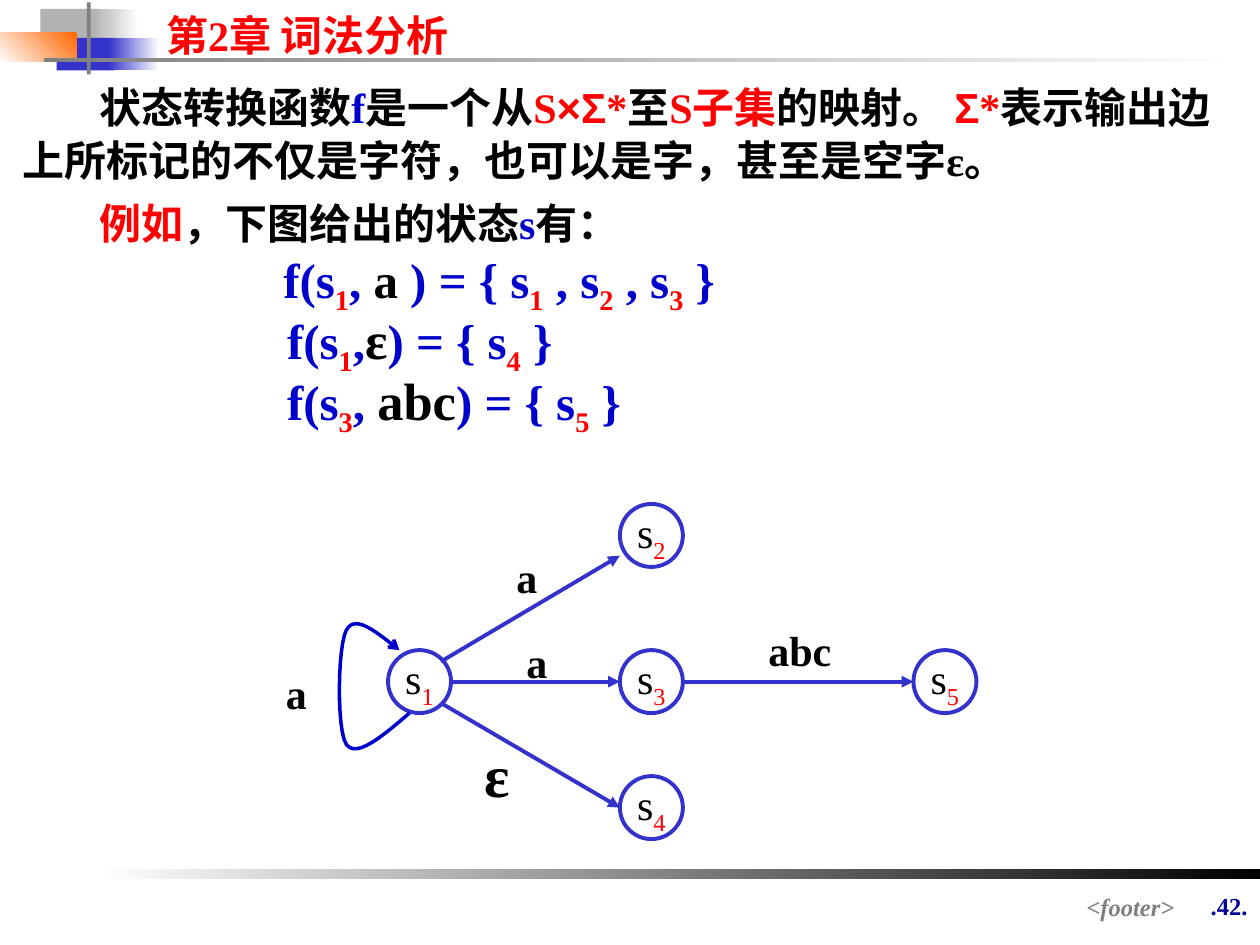
"""Build a lexical analysis slide with a state transition graph."""
from lxml.etree import SubElement
from pptx import Presentation
from pptx.dml.color import RGBColor
from pptx.enum.shapes import MSO_CONNECTOR, MSO_SHAPE
from pptx.enum.text import MSO_ANCHOR, PP_ALIGN
from pptx.oxml.ns import qn
from pptx.util import Inches, Pt

HUES = {"black": "000000", "white": "FFFFFF", "red": "FF0000", "blue": "0000CC",
        "navy": "000099", "edge": "3333CC", "gray": "808080", "pale": "B2B2B2",
        "orange": "FF6600"}
SERIF = "Times New Roman"
RADIUS = 0.25

BARS = [
    ((0.32, 0.07, 0.48, 0.26), ["pale"], 0),
    ((0.74, 0.07, 0.36, 0.26), ["white", "pale"], 180),
    ((0.45, 0.3, 0.46, 0.26), ["edge"], 0),
    ((0.86, 0.3, 0.4, 0.26), ["white", "edge"], 180),
    ((0, 0.26, 0.61, 0.23), ["orange", "white"], 135),
    ((0.69, 0.02, 0.03, 0.57), ["gray"], 0),
    ((0.35, 0.46, 9.51, 0.03), ["white", "gray"], 180),
    ((0.75, 6.9, 9.25, 0.08), ["black", "white"], 180),
]
ARIAL = {"name": "Arial"}
BIG = {"size": Pt(30)}
PROSE = [
    [("状态转换函数", "black"), ("f", "blue"), ("是一个从", "black"), ("S", "red"),
     ("×Σ", "red", ARIAL), ("*", "red"), ("至", "black"), ("S子集", "red"),
     ("的映射。 ", "black"), ("Σ", "red", ARIAL), ("*", "red"),
     ("表示输出边上所标记的不仅是字符，也可以是字，甚至是空字ε。", "black")],
    [("例如", "red"), ("，下图给出的状态", "black"), ("s", "blue"), ("有：", "black")],
]
RULES = [
    (2.07, "1", ", ", ("a ", "black"), ") = { s", ["1", "2", "3"]),
    (2.1, "1", ",", ("ε", "black", BIG), ") = { s", ["4"]),
    (2.1, "3", ", ", ("abc", "black", BIG), ") = { s", ["5"]),
]
STATES = {"1": (3.33, 5.41), "2": (5.17, 4.25), "3": (5.17, 5.41),
          "4": (5.17, 6.41), "5": (7.5, 5.41)}
EDGES = [((3.5, 5.25), (4.92, 4.41)), ((3.5, 5.58), (4.92, 6.41)),
         ((3.58, 5.41), (4.92, 5.41)), ((5.42, 5.41), (7.25, 5.41))]
LABELS = [("a", (4, 4.33, 0.92, 0.5), 24), ("a", (4.08, 5, 0.92, 0.5), 24),
          ("ε", (3.75, 5.81, 0.92, 0.67), 34), ("a", (2.17, 5.25, 0.67, 0.5), 24),
          ("abc", (6, 4.91, 0.83, 0.5), 24)]
LOOP = [[(3.25, 5.66), (3.04, 5.84), (2.83, 6.02), (2.75, 5.91)],
        [(2.75, 5.91), (2.67, 5.8), (2.68, 5.12), (2.75, 5)],
        [(2.75, 5), (2.82, 4.87), (2.99, 5.02), (3.17, 5.16)]]


def hue(name):
    """Return the named colour."""
    return RGBColor.from_string(HUES[name])


def style(item, values):
    """Set each attribute of an item from a dict."""
    for key, value in values.items():
        setattr(item, key, value)


def write(par, runs, **base):
    """Fill a paragraph with (text, colour, optional format) runs."""
    for text, tint, *more in runs:
        run = par.add_run()
        run.text = text
        style(run.font, {"name": SERIF, "size": Pt(24), "bold": True, **base,
                         **(more[0] if more else {})})
        run.font.color.rgb = hue(tint)


def lower(par, digits):
    """Turn the runs that hold only a digit into subscripts."""
    for run in par.runs:
        if run.text in digits:
            run.font._element.set("baseline", "-25000")


def add_text(slide, box, runs, align=PP_ALIGN.LEFT, **base):
    """Add a text box of one paragraph."""
    frame = slide.shapes.add_textbox(*map(Inches, box)).text_frame
    frame.word_wrap = True
    frame.paragraphs[0].alignment = align
    write(frame.paragraphs[0], runs, **base)


def add_bar(slide, box, tints, angle):
    """Add a plain or graded rectangle, its angle measured clockwise."""
    bar = slide.shapes.add_shape(MSO_SHAPE.RECTANGLE, *map(Inches, box))
    bar.shadow.inherit = False
    bar.line.fill.background()
    if len(tints) == 1:
        bar.fill.solid()
        bar.fill.fore_color.rgb = hue(tints[0])
        return
    bar.fill.gradient()
    bar.fill.gradient_angle = 360 - angle
    for stop, tint in zip(bar.fill.gradient_stops, tints):
        stop.color.rgb = hue(tint)


def add_body(slide):
    """Add the definition and its example formulas."""
    box = slide.shapes.add_textbox(*map(Inches, (0.08, 0.58, 9.83, 3.17)))
    frame = box.text_frame
    frame.word_wrap = True
    rows = [(runs, 0.61, 24, 1.05, 6) for runs in PROSE]
    for indent, state, comma, word, mid, ends in RULES:
        runs = [("f(s", "blue"), (state, "red"), (comma, "blue"), word, (mid, "blue")]
        for end in ends:
            tail = " }" if end == ends[-1] else " , s"
            runs += [(end, "red"), (tail, "blue")]
        rows.append((runs, indent, 28, 0.7, 7))
    for spot, (runs, indent, size, pitch, gap) in enumerate(rows):
        par = frame.add_paragraph() if spot else frame.paragraphs[0]
        style(par, {"line_spacing": pitch, "space_before": Pt(gap)})
        props = par._p.get_or_add_pPr()
        props.set("marL", "0")
        props.set("indent", str(Inches(indent)))
        write(par, runs, size=Pt(size))
        lower(par, STATES)


def add_state(slide, digit, spot):
    """Add a state circle around its centre."""
    x, y = spot
    box = (x - RADIUS, y - RADIUS, 2 * RADIUS, 2 * RADIUS)
    node = slide.shapes.add_shape(MSO_SHAPE.OVAL, *map(Inches, box))
    node.shadow.inherit = False
    node.fill.background()
    draw(node.line, "edge", 2.25)
    frame = node.text_frame
    style(frame, {"word_wrap": False, "vertical_anchor": MSO_ANCHOR.MIDDLE})
    par = frame.paragraphs[0]
    par.alignment = PP_ALIGN.CENTER
    write(par, [("s", "black"), (digit, "red")], bold=False)
    lower(par, STATES)


def draw(line, tint, width, head=None):
    """Colour a line and give its end an arrowhead."""
    line.color.rgb = hue(tint)
    line.width = Pt(width)
    if head:
        SubElement(line._get_or_add_ln(), qn("a:tailEnd"), type=head)


def add_edge(slide, start, end):
    """Add a straight arrow."""
    edge = slide.shapes.add_connector(MSO_CONNECTOR.STRAIGHT,
                                      *map(Inches, start + end))
    draw(edge.line, "edge", 2.25, "triangle")
    SubElement(edge._element.spPr, qn("a:effectLst"))


def bend(curve, t):
    """Return the point at t on a cubic curve."""
    parts = ((1 - t) ** 3, 3 * t * (1 - t) ** 2, 3 * t * t * (1 - t), t ** 3)
    return tuple(Inches(sum(p * c for p, c in zip(parts, axis)))
                 for axis in zip(*curve))


def add_loop(slide, steps=12):
    """Add the curved arrow from the first state to itself."""
    dots = [bend(curve, n / steps) for curve in LOOP for n in range(1, steps + 1)]
    pen = slide.shapes.build_freeform(*bend(LOOP[0], 0))
    pen.add_line_segments(dots, close=False)
    loop = pen.convert_to_shape()
    loop.shadow.inherit = False
    loop.fill.background()
    draw(loop.line, "blue", 2, "arrow")


def main():
    """Build and save the slide."""
    deck = Presentation()
    style(deck, {"slide_width": Inches(10), "slide_height": Inches(7.5)})
    slide = deck.slides.add_slide(deck.slide_layouts[6])
    for bar in BARS:
        add_bar(slide, *bar)
    add_text(slide, (1.22, 0.03, 3.15, 0.5), [("第2章 词法分析", "red")])
    add_text(slide, (9.33, 7.02, 0.67, 0.4), [(".42.", "navy")],
             PP_ALIGN.RIGHT, size=Pt(14))
    add_text(slide, (2.64, 7.03, 6.78, 0.26), [("<footer>", "gray")],
             PP_ALIGN.RIGHT, size=Pt(14), italic=True)
    add_body(slide)
    for digit, spot in STATES.items():
        add_state(slide, digit, spot)
    for start, end in EDGES:
        add_edge(slide, start, end)
    for text, box, size in LABELS:
        add_text(slide, box, [(text, "black")], size=Pt(size))
    add_loop(slide)
    deck.save("out.pptx")


if __name__ == "__main__":
    main()
